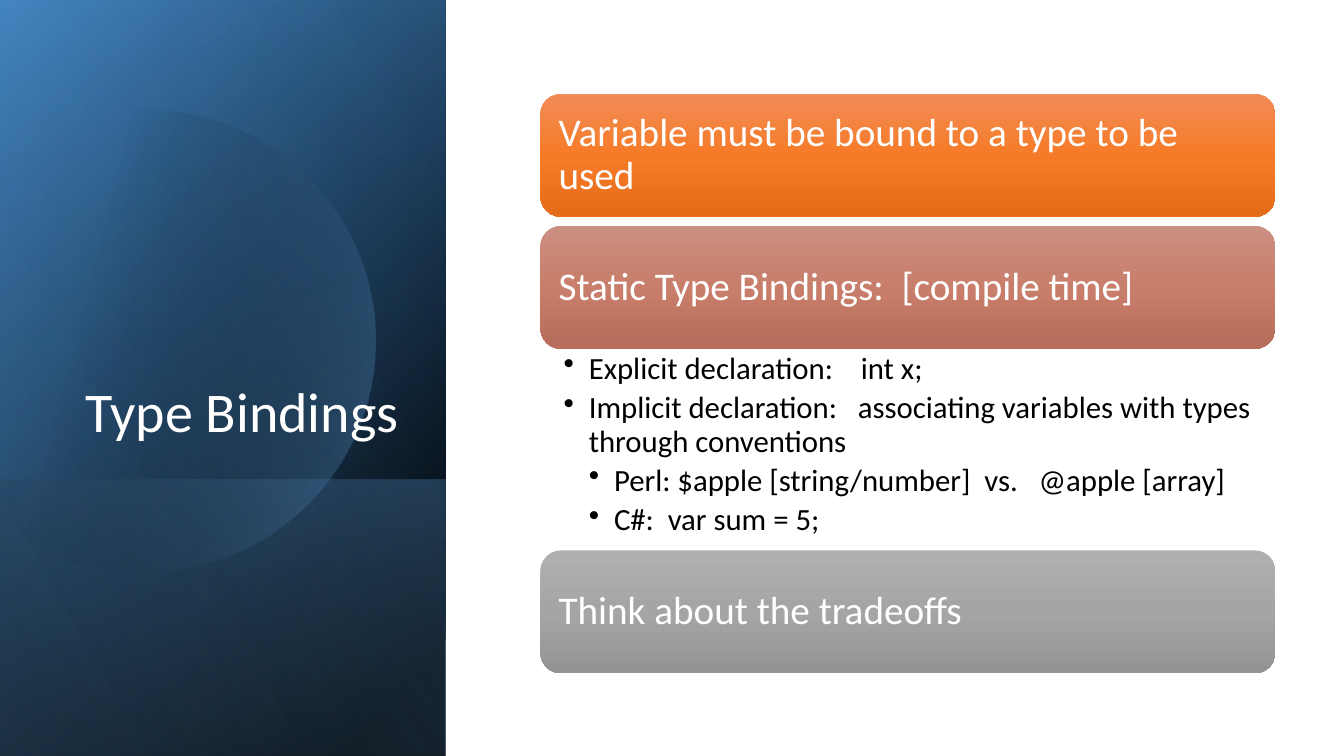
import math

import pptx
import pptx.dml.color
import pptx.enum.shapes
import pptx.enum.text
import pptx.oxml
import pptx.oxml.ns
import pptx.util

Inches = pptx.util.Inches
Pt = pptx.util.Pt
RGBColor = pptx.dml.color.RGBColor
Shape = pptx.enum.shapes.MSO_SHAPE
Anchor = pptx.enum.text.MSO_ANCHOR
Align = pptx.enum.text.PP_ALIGN

FONT = "Calibri"
BLACK = RGBColor(0x00, 0x00, 0x00)
WHITE = RGBColor(0xFF, 0xFF, 0xFF)
DEEP_BLUE = RGBColor(0x2E, 0x75, 0xB6)
BLUE = RGBColor(0x5B, 0x9B, 0xD5)
PALE_BLUE = RGBColor(0x9D, 0xC3, 0xE6)
ORANGES = [RGBColor(0xF1, 0x8C, 0x57), RGBColor(0xF6, 0x7B, 0x28), RGBColor(0xE5, 0x6C, 0x19)]
REDS = [RGBColor(0xCB, 0x8F, 0x81), RGBColor(0xC9, 0x7E, 0x6B), RGBColor(0xB7, 0x6D, 0x5B)]
GREYS = [RGBColor(0xAF, 0xAF, 0xAF), RGBColor(0xA5, 0xA5, 0xA5), RGBColor(0x93, 0x93, 0x93)]

PANEL_WIDTH = 4.42
SLIDE_HEIGHT = 7.5
BAND_LEFT, BAND_WIDTH, BAND_HEIGHT = 5.36, 7.29, 1.22
BAND_GAP = 0.09
LIST_HEIGHT = 2

BINDING_KINDS = [
    (1, "Explicit declaration:    int x;"),
    (1, "Implicit declaration:   associating variables with types through conventions"),
    (2, "Perl: $apple [string/number]  vs.   @apple [array]"),
    (2, "C#:  var sum = 5;"),
]


def fill_gradient(shape, stops, angle):
    """Fill with (position, colour, opacity) stops, all in percent, and drop line and shadow."""
    shape.shadow.inherit = False
    shape.line.fill.background()
    shape.fill.background()
    stop_xml = "".join(
        f'<a:gs pos="{position * 1000}"><a:srgbClr val="{colour}">'
        f'<a:alpha val="{opacity * 1000}"/></a:srgbClr></a:gs>'
        for position, colour, opacity in stops
    )
    gradient = pptx.oxml.parse_xml(
        f'<a:gradFill {pptx.oxml.ns.nsdecls("a")} rotWithShape="1"><a:gsLst>{stop_xml}</a:gsLst>'
        f'<a:lin ang="{angle * 60000}" scaled="0"/></a:gradFill>'
    )
    properties = shape._element.spPr
    properties.replace(properties.find(pptx.oxml.ns.qn("a:noFill")), gradient)


def add_panel(slide, top, stops, angle):
    """Cover the left strip from top to the slide's bottom with a mirrored quarter-turned rectangle."""
    length = SLIDE_HEIGHT - top
    left = (PANEL_WIDTH - length) / 2
    panel = slide.shapes.add_shape(
        Shape.RECTANGLE, Inches(left), Inches(top - left),
        Inches(length), Inches(PANEL_WIDTH))
    panel.rotation = 90
    panel._element.spPr.xfrm.set("flipH", "1")
    fill_gradient(panel, stops, angle)


def add_clipped_disc(slide, center_x, center_y, radius, clip_left):
    """Draw a disc whose left side is cut along a vertical chord."""
    reach = math.acos((clip_left - center_x) / radius)
    steps = 120
    angles = [reach * (2 * step / steps - 1) for step in range(steps + 1)]
    points = [(Inches(center_x + radius * math.cos(angle)),
               Inches(center_y + radius * math.sin(angle))) for angle in angles]
    builder = slide.shapes.build_freeform(*points[0])
    builder.add_line_segments(points[1:], close=True)
    disc = builder.convert_to_shape()
    fill_gradient(disc, [(29, BLACK, 0), (100, BLUE, 43)], 14)


def set_margins(frame, left, top, right, bottom):
    frame.margin_left, frame.margin_top = Inches(left), Inches(top)
    frame.margin_right, frame.margin_bottom = Inches(right), Inches(bottom)


def format_paragraph(para, size, colour, alignment=Align.LEFT):
    para.alignment = alignment
    para.line_spacing = 0.9
    for span in para.runs:
        span.font.name = FONT
        span.font.size = Pt(size)
        span.font.color.rgb = colour


def add_title(slide, text):
    box = slide.shapes.add_textbox(Inches(0.64), Inches(1.84), Inches(3.41), Inches(2.62))
    frame = box.text_frame
    frame.word_wrap = True
    frame.vertical_anchor = Anchor.BOTTOM
    frame.text = text
    format_paragraph(frame.paragraphs[0], 40, WHITE, Align.RIGHT)


def add_band(slide, top, text, colours):
    band = slide.shapes.add_shape(
        Shape.ROUNDED_RECTANGLE, Inches(BAND_LEFT), Inches(top),
        Inches(BAND_WIDTH), Inches(BAND_HEIGHT))
    fill_gradient(band, [(50 * i, colour, 100) for i, colour in enumerate(colours)], 90)
    frame = band.text_frame
    frame.word_wrap = True
    frame.vertical_anchor = Anchor.MIDDLE
    set_margins(frame, 0.12, 0.12, 0.12, 0.12)
    frame.text = text
    format_paragraph(frame.paragraphs[0], 28, WHITE)


def add_bullet(para, level):
    properties = para._p.get_or_add_pPr()
    properties.set("marL", str(Inches(0.25 * level)))
    properties.set("indent", str(Inches(-0.25)))
    properties.append(pptx.oxml.parse_xml(
        f'<a:buChar {pptx.oxml.ns.nsdecls("a")} char="•"/>'))


def add_bullet_list(slide, top, items):
    box = slide.shapes.add_textbox(
        Inches(BAND_LEFT), Inches(top), Inches(BAND_WIDTH), Inches(LIST_HEIGHT))
    frame = box.text_frame
    frame.word_wrap = True
    set_margins(frame, 0.23, 0.04, 0.22, 0.04)
    frame.text = "\n".join(text for level, text in items)
    for para, (level, text) in zip(frame.paragraphs, items):
        para.level = level
        format_paragraph(para, 22, BLACK)
        para.space_after = Pt(4.4)
        add_bullet(para, level)


def main():
    deck = pptx.Presentation()
    deck.slide_width = Inches(13.33)
    deck.slide_height = Inches(SLIDE_HEIGHT)
    slide = deck.slides.add_slide(deck.slide_layouts[6])

    add_panel(slide, 0, [(8, BLACK, 100), (100, DEEP_BLUE, 100)], 50)
    add_panel(slide, 0, [(0, BLACK, 0), (99, BLUE, 46)], 30)
    add_panel(slide, 4.76, [(2, BLUE, 29), (100, BLACK, 30)], 130)
    add_clipped_disc(slide, 1.43, 3.38, 2.29, -0.15)
    add_panel(slide, 0, [(0, BLACK, 0), (99, PALE_BLUE, 11)], 120)
    add_title(slide, "Type Bindings")

    first_top = 0.93
    second_top = first_top + BAND_HEIGHT + BAND_GAP
    list_top = second_top + BAND_HEIGHT
    add_band(slide, first_top, "Variable must be bound to a type to be used", ORANGES)
    add_band(slide, second_top, "Static Type Bindings:  [compile time]", REDS)
    add_bullet_list(slide, list_top, BINDING_KINDS)
    add_band(slide, list_top + LIST_HEIGHT, "Think about the tradeoffs", GREYS)

    deck.save("out.pptx")


if __name__ == "__main__":
    main()
